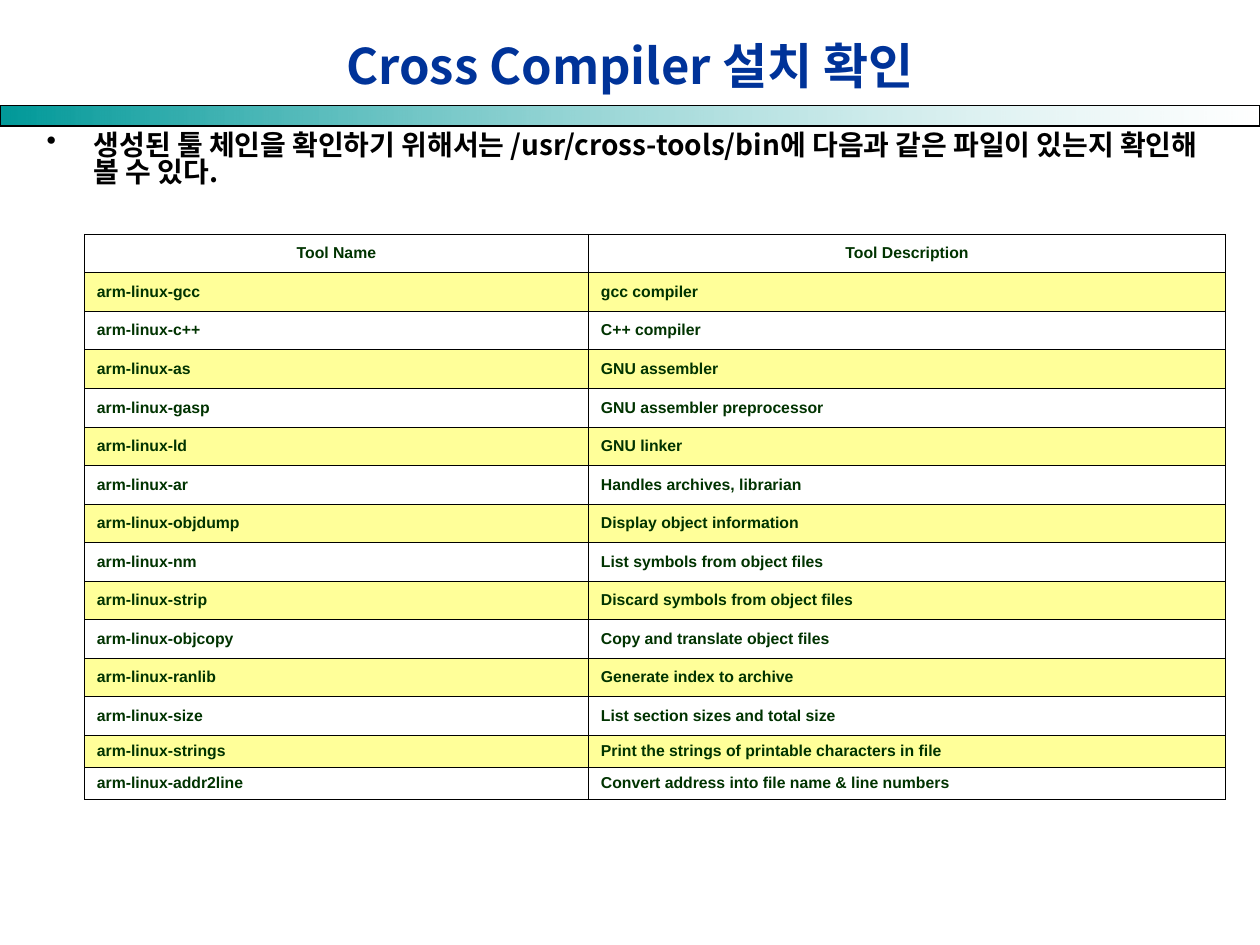
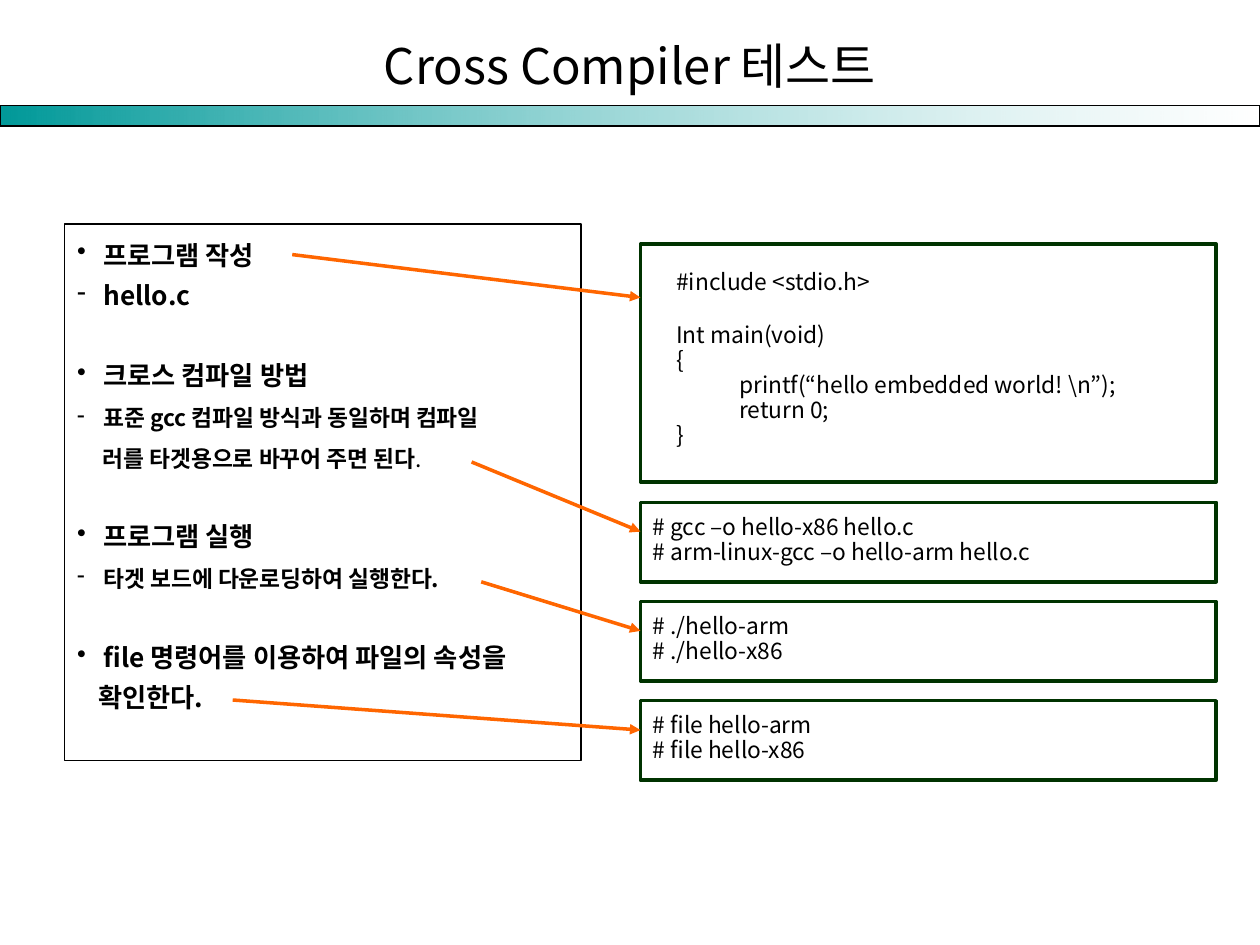
from lxml import etree
from pptx import Presentation
from pptx.dml.color import RGBColor
from pptx.enum.shapes import MSO_CONNECTOR, MSO_SHAPE
from pptx.enum.text import MSO_ANCHOR, PP_ALIGN
from pptx.oxml.ns import qn
from pptx.util import Pt

RECTANGLE = MSO_SHAPE.RECTANGLE
STRAIGHT = MSO_CONNECTOR.STRAIGHT
TOP, MIDDLE = MSO_ANCHOR.TOP, MSO_ANCHOR.MIDDLE
LEFT, CENTER = PP_ALIGN.LEFT, PP_ALIGN.CENTER

KOREAN, LATIN = "Noto Sans CJK KR", "Arial"
BLACK, WHITE, BLUE, GREEN = "000000", "FFFFFF", "003399", "003300"
TEAL, PALE_TEAL, ORANGE, YELLOW = "009999", "86CFCF", "FF6600", "FFFF99"

TOOLS = [
    ("gcc", "gcc compiler"),
    ("c++", "C++ compiler"),
    ("as", "GNU assembler"),
    ("gasp", "GNU assembler preprocessor"),
    ("ld", "GNU linker"),
    ("ar", "Handles archives, librarian"),
    ("objdump", "Display object information"),
    ("nm", "List symbols from object files"),
    ("strip", "Discard symbols from object files"),
    ("objcopy", "Copy and translate object files"),
    ("ranlib", "Generate index to archive"),
    ("size", "List section sizes and total size"),
    ("strings", "Print the strings of printable characters in file"),
    ("addr2line", "Convert address into file name & line numbers"),
]

HEADING = dict(size=15, bold=True, bullet="•", indent=15)
DETAIL = dict(size=13, bold=True, bullet="-", indent=15)
NEW_STEP = dict(before=23)
STEPS = [
    ("프로그램 작성", HEADING),
    ("hello.c", DETAIL | dict(size=15)),
    ("크로스 컴파일 방법", HEADING | NEW_STEP),
    ("표준 gcc 컴파일 방식과 동일하며 컴파일", DETAIL),
    ("러를 타겟용으로 바꾸어 주면 된다", dict(size=13, bold=True, margin=14.5, plain_end=".")),
    ("프로그램 실행", HEADING | NEW_STEP),
    ("타겟 보드에 다운로딩하여 실행한다.", DETAIL),
    ("file 명령어를 이용하여 파일의 속성을", HEADING | NEW_STEP),
    ("확인한다.", dict(size=15, bold=True, margin=12)),
]

SOURCE_CODE = [
    "#include <stdio.h>",
    "",
    "Int main(void)",
    "{",
    "\tprintf(“hello embedded world! \\n”);",
    "\treturn 0;",
    "}",
]
COMMANDS = [
    ["# gcc –o hello-x86 hello.c", "# arm-linux-gcc –o hello-arm hello.c"],
    ["# ./hello-arm", "# ./hello-x86"],
    ["# file hello-arm", "# file hello-x86"],
]
COMMAND_ARROW_STARTS = [(269.5, 264), (275, 332.5), (133, 400)]


def color(hex_string):
    return RGBColor.from_string(hex_string)


def box(*lengths):
    return [Pt(length) for length in lengths]


def add_run(paragraph, text, size, font, ink, bold):
    run = paragraph.add_run()
    run.text = text
    run.font.size, run.font.name, run.font.bold = Pt(size), font, bold
    run.font.color.rgb = color(ink)
    east_asian = etree.SubElement(run.font._element, qn("a:ea"))
    east_asian.set("typeface", font)


def write(paragraph, text, size=13, font=KOREAN, ink=BLACK, bold=False, align=LEFT,
          spacing=None, before=0, bullet=None, indent=0, margin=0, plain_end=""):
    """Fill a paragraph; plain_end is closing text that is never bold."""
    properties = paragraph._p.get_or_add_pPr()
    properties.set("marL", str(Pt(indent or margin)))
    properties.set("indent", str(-Pt(indent)))
    if bullet:
        bullet_color = etree.SubElement(properties, qn("a:buClr"))
        etree.SubElement(bullet_color, qn("a:srgbClr")).set("val", BLACK)
        etree.SubElement(properties, qn("a:buChar")).set("char", bullet)
    paragraph.alignment = align
    paragraph.space_before = Pt(before)
    if spacing:
        paragraph.line_spacing = spacing
    add_run(paragraph, text, size, font, ink, bold)
    if plain_end:
        add_run(paragraph, plain_end, size, font, ink, False)


def set_borders(cell, widths):
    """Draw black borders; widths are left, right, top, bottom."""
    properties = cell._tc.get_or_add_tcPr()
    for index, (side, width) in enumerate(zip("LRTB", widths)):
        line = etree.Element(qn(f"a:ln{side}"), w=str(Pt(width)))
        fill = etree.SubElement(line, qn("a:solidFill"))
        etree.SubElement(fill, qn("a:srgbClr")).set("val", BLACK)
        properties.insert(index, line)


class Deck:
    """Holds the shared style and the slide being drawn."""

    def __init__(self):
        self.presentation = Presentation()
        self.presentation.slide_width = Pt(720)
        self.presentation.slide_height = Pt(540)
        self.slide = None

    def start_slide(self, title, **title_format):
        layout = self.presentation.slide_layouts[6]
        self.slide = self.presentation.slides.add_slide(layout)
        self.band()
        self.text(box(8.5, 15, 703, 44), [(title, dict(size=28, align=CENTER) | title_format)],
                  anchor=MIDDLE)

    def band(self):
        band = self.frame(box(0, 60.5, 720, 11.5), BLACK, 0.75)
        band.fill.gradient()
        band.fill.gradient_angle = 0
        for stop, position, tint in zip(band.fill.gradient_stops, (0, 1), (TEAL, PALE_TEAL)):
            stop.position = position
            stop.color.rgb = color(tint)
        last_color = list(band._element.spPr.iter(qn("a:srgbClr")))[1]
        etree.SubElement(last_color, qn("a:alpha")).set("val", "0")

    def frame(self, bounds, line_color, line_width, shapes=None):
        shape = (shapes or self.slide.shapes).add_shape(RECTANGLE, *bounds)
        shape.shadow.inherit = False
        shape.fill.background()
        shape.line.color.rgb = color(line_color)
        shape.line.width = Pt(line_width)
        return shape

    def text(self, bounds, lines, shapes=None, **frame_format):
        shape = (shapes or self.slide.shapes).add_textbox(*bounds)
        self.fill_text(shape, lines, **frame_format)

    def fill_text(self, shape, lines, anchor=TOP, left_inset=7.2):
        text_frame = shape.text_frame
        text_frame.word_wrap = True
        text_frame.vertical_anchor = anchor
        text_frame.margin_left = Pt(left_inset)
        for index, (text, text_format) in enumerate(lines):
            paragraph = text_frame.add_paragraph() if index else text_frame.paragraphs[0]
            write(paragraph, text, **text_format)

    def code(self, top, height, lines, padding, **frame_format):
        """Draw a framed listing; an empty line becomes space before the next."""
        paragraphs, before = [], 0
        for line in lines:
            if line:
                paragraphs.append((line, dict(spacing=0.5, before=before)))
                before = 6.5
            else:
                before += 15.9
        group = self.slide.shapes.add_group_shape()
        self.text(box(366, top + padding, 329, height - 2 * padding), paragraphs,
                  group.shapes, **frame_format)
        self.frame(box(366, top, 329, height), GREEN, 2, group.shapes)

    def arrow(self, start, end):
        connector = self.slide.shapes.add_connector(STRAIGHT, *box(*start, *end))
        connector.line.color.rgb = color(ORANGE)
        connector.line.width = Pt(2)
        line = connector.line._get_or_add_ln()
        etree.SubElement(line, qn("a:tailEnd")).set("type", "triangle")
        etree.SubElement(connector._element.spPr, qn("a:effectLst"))

    def table(self, left, top, widths, heights, rows):
        shape = self.slide.shapes.add_table(
            len(rows), len(widths), *box(left, top, sum(widths), sum(heights)))
        table = shape.table
        table.first_row = table.horz_banding = False
        for column, width in zip(table.columns, widths):
            column.width = Pt(width)
        for row_index, (height, values) in enumerate(zip(heights, rows)):
            table.rows[row_index].height = Pt(height)
            for column_index, value in enumerate(values):
                cell = table.cell(row_index, column_index)
                cell.vertical_anchor = MIDDLE
                write(cell.text_frame.paragraphs[0], value, size=9, font=LATIN, ink=GREEN,
                      bold=True, align=LEFT if row_index else CENTER)
                if row_index % 2:
                    cell.fill.solid()
                    cell.fill.fore_color.rgb = color(YELLOW)
                else:
                    cell.fill.background()
                set_borders(cell, (
                    0.45 if column_index else 0.34,
                    0.34 if column_index else 0.45,
                    0.96 if row_index == 1 else 0.45,
                    0.45 if row_index else 0.96))


def tools_slide(deck):
    deck.start_slide("Cross Compiler 설치 확인", ink=BLUE, bold=True)
    message = ("생성된 툴 체인을 확인하기 위해서는 /usr/cross-tools/bin에 "
               "다음과 같은 파일이 있는지 확인해 볼 수 있다.")
    deck.text(box(19.5, 73, 680, 57),
              [(message, dict(size=16, bold=True, bullet="•", indent=27, spacing=0.8))])
    rows = [("Tool Name", "Tool Description")]
    rows += [(f"arm-linux-{tool}", description) for tool, description in TOOLS]
    deck.table(48.2, 133.8, (288, 364.2), [22.05] * 13 + [18.25] * 2, rows)


def test_slide(deck):
    deck.start_slide("Cross Compiler 테스트")
    steps = deck.frame(box(37, 128, 295, 306.5), BLACK, 0.75)
    deck.fill_text(steps, [(text, dict(spacing=Pt(23)) | style) for text, style in STEPS])
    deck.code(139.5, 136, SOURCE_CODE, padding=12.5, anchor=MIDDLE, left_inset=20.5)
    deck.arrow((167, 145.5), (366, 170))
    for index, (commands, start) in enumerate(zip(COMMANDS, COMMAND_ARROW_STARTS)):
        top = 287 + 56.7 * index
        deck.code(top, 45.5, commands, padding=9)
        deck.arrow(start, (366, top + 16.8))


def main():
    deck = Deck()
    tools_slide(deck)
    test_slide(deck)
    deck.presentation.save("out.pptx")


if __name__ == "__main__":
    main()
